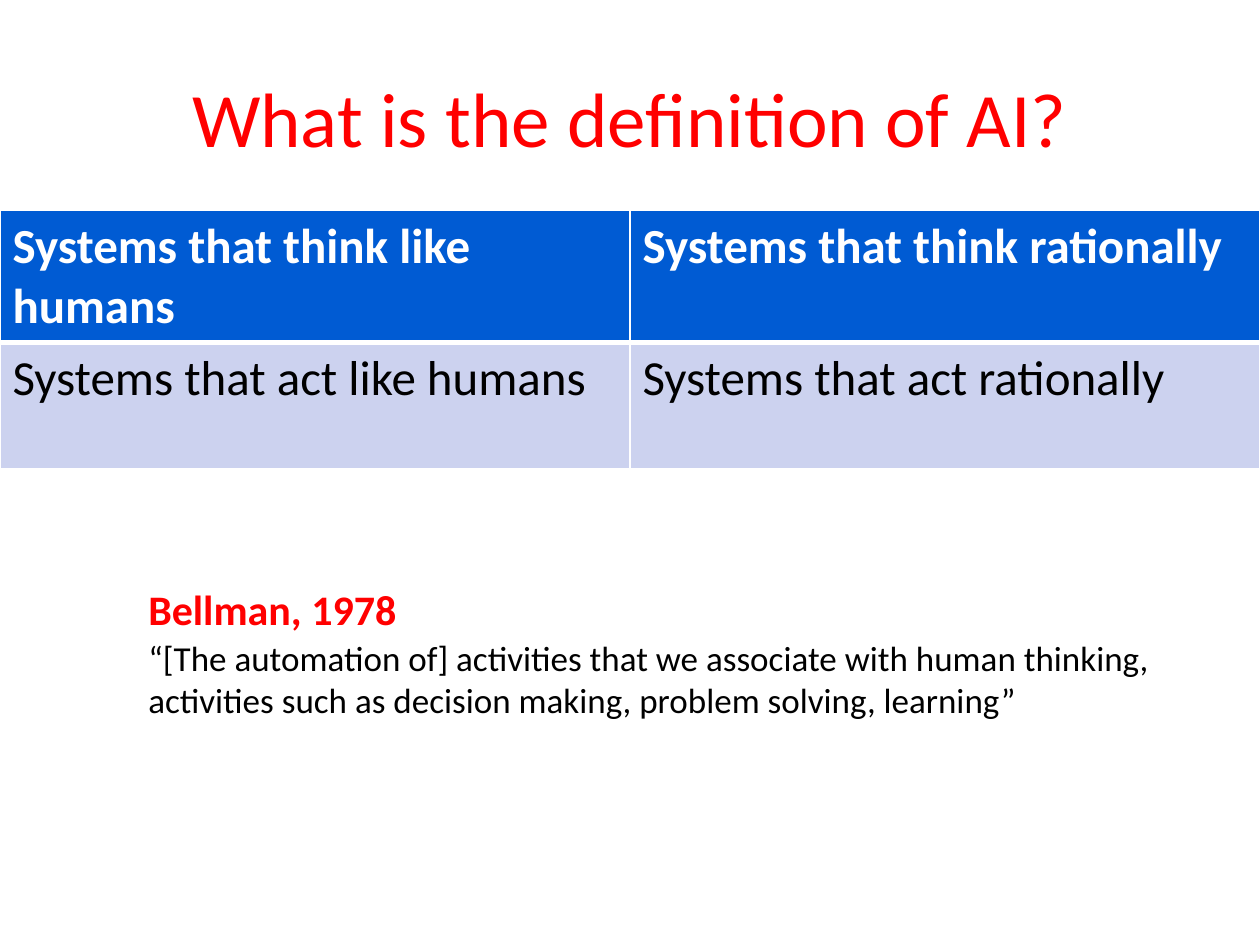
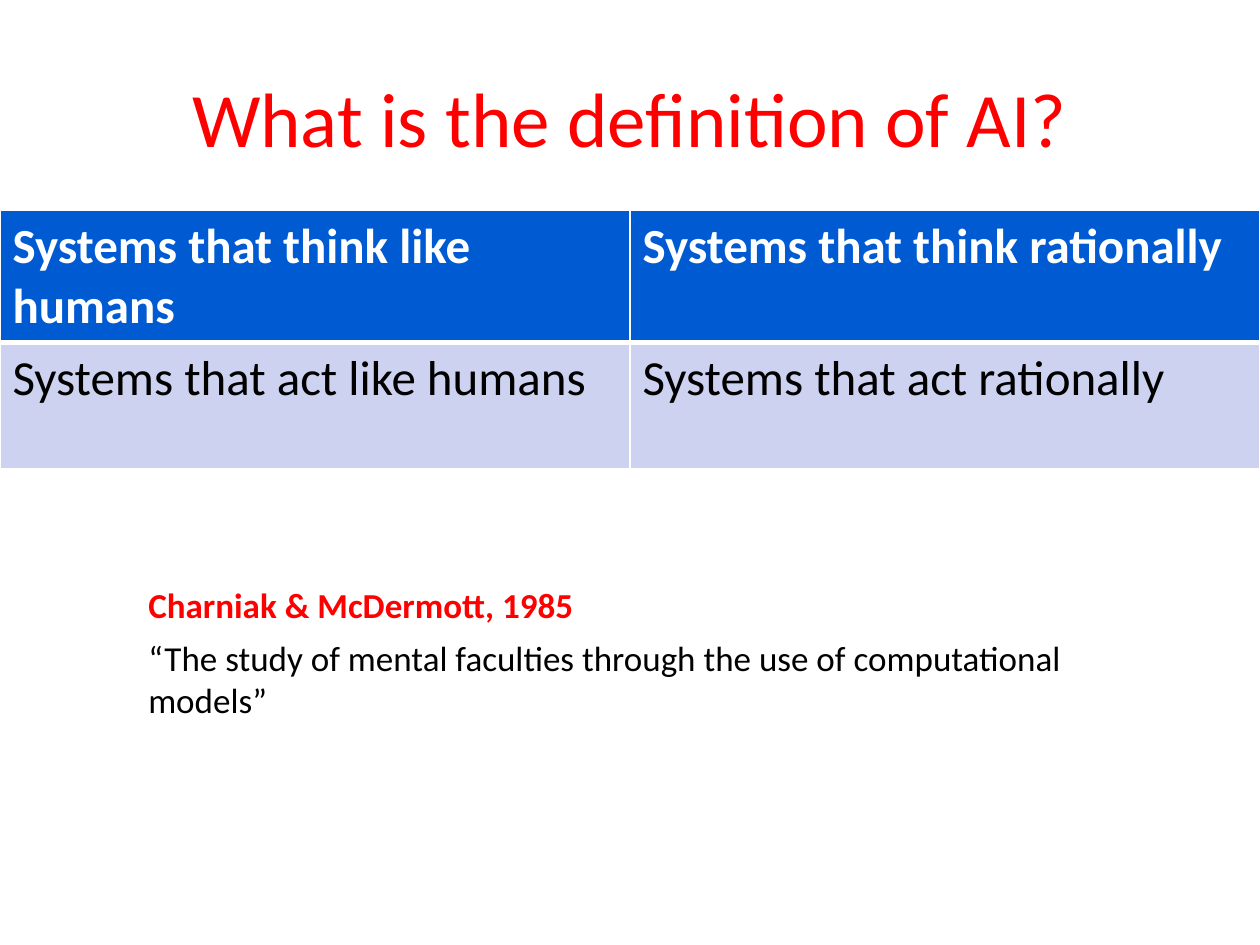
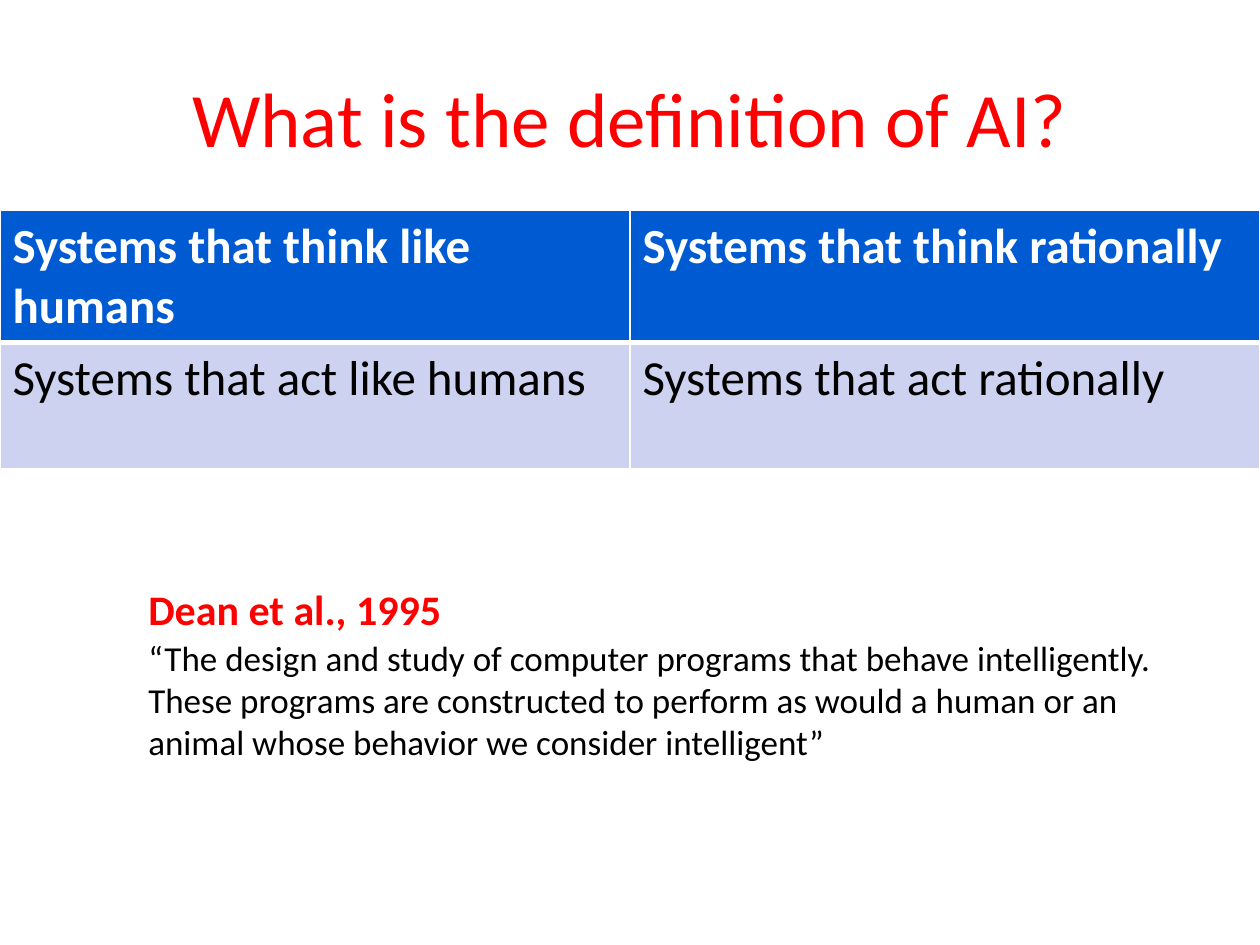
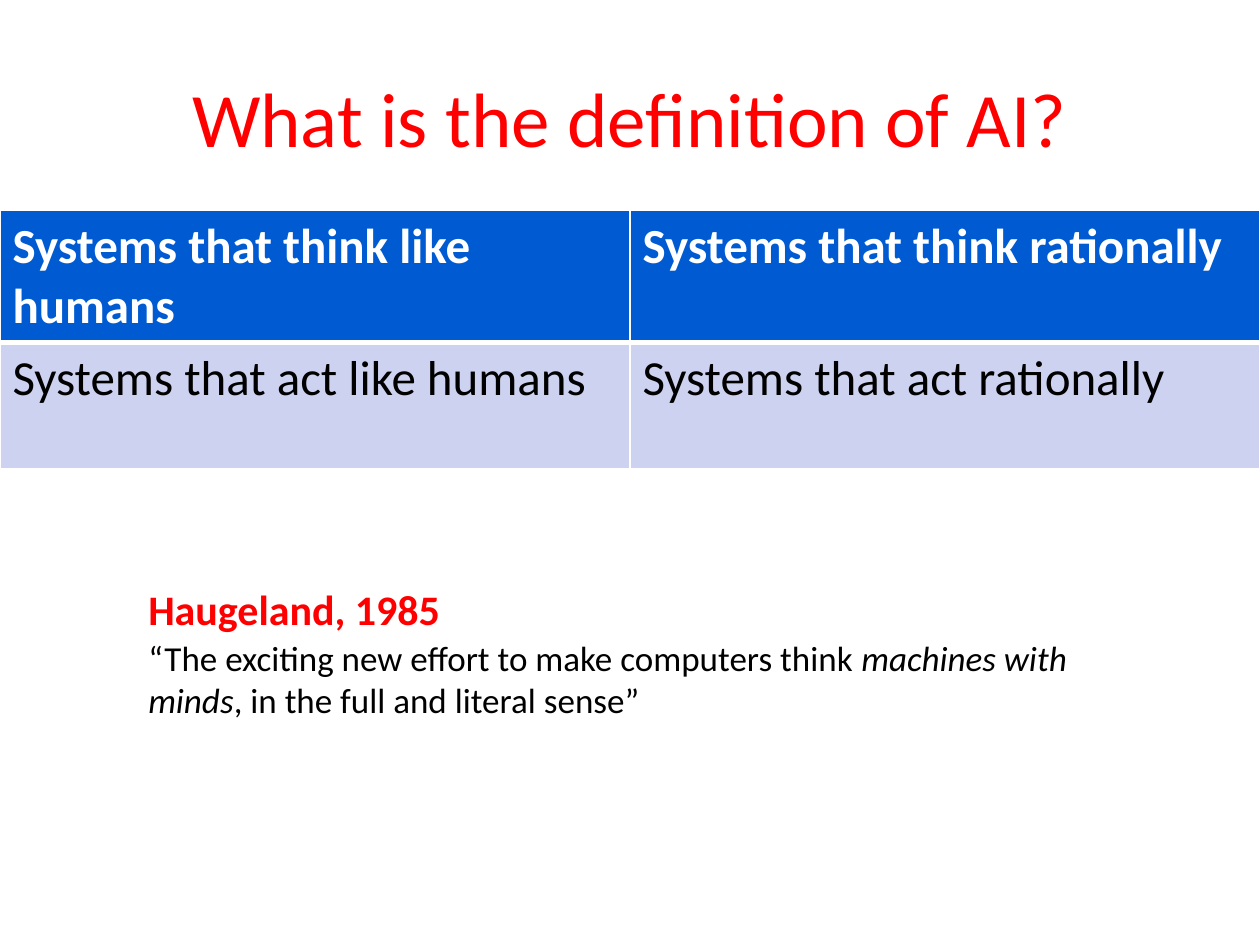
from dataclasses import dataclass

from lxml.etree import SubElement
from pptx import Presentation
from pptx.dml.color import RGBColor
from pptx.enum.text import MSO_ANCHOR, MSO_AUTO_SIZE, PP_ALIGN
from pptx.oxml.ns import qn
from pptx.util import Cm, Pt

FONT = "Calibri"
RED = "FF0000"
BLUE = "005BD3"
LAVENDER = "CCD2EF"
WHITE = "FFFFFF"
BLACK = "000000"

TITLE = "What is the definition of AI?"
APPROACHES = (
    ("Systems that think like humans", "Systems that think rationally"),
    ("Systems that act like humans", "Systems that act rationally"),
)
QUOTE_LEFT = 2.74


@dataclass(frozen=True)
class RowStyle:
    height: float
    fill: str
    color: str
    bold: bool
    borders: dict[str, int]


@dataclass(frozen=True)
class Definition:
    author: str
    author_width: float
    quote: tuple[str, ...]
    author_size: int = 24
    author_height: float = 1.27
    quote_height: float = 1.96


ROW_STYLES = (
    RowStyle(2.46, BLUE, WHITE, True, {"L": 1, "R": 1, "T": 1, "B": 3}),
    RowStyle(2.54, LAVENDER, BLACK, False, {"L": 1, "R": 1, "T": 3, "B": 1}),
)

DEFINITIONS = (
    Definition(
        "Bellman, 1978", 5.56,
        ("“[The automation of] activities that we associate with human thinking, "
         "activities such as decision making, problem solving, learning”",),
    ),
    Definition(
        "Charniak & McDermott, 1985", 9.17,
        ("“The study of mental faculties through the use of computational models”",),
        author_size=20, author_height=1.12,
    ),
    Definition(
        "Dean et al., 1995", 6.48,
        ("“The design and study of computer programs that behave intelligently. "
         "These programs are constructed to perform as would a human or an "
         "animal whose behavior we consider intelligent”",),
        quote_height=2.82,
    ),
    Definition(
        "Haugeland, 1985", 6.45,
        ("“The exciting new effort to make computers think ",
         "machines with minds",
         ", in the full and literal sense”"),
    ),
)


def rgb(value: str) -> RGBColor:
    return RGBColor.from_string(value)


def add_text(p, text: str, *, size: int, color: str = BLACK,
             bold: bool = False, italic: bool = False) -> None:
    r = p.add_run()
    r.text = text
    r.font.name = FONT
    r.font.size = Pt(size)
    r.font.bold = bold
    r.font.italic = italic
    r.font.color.rgb = rgb(color)


def add_box(s, top: float, width: float, height: float, wrap: bool):
    sp = s.shapes.add_textbox(Cm(QUOTE_LEFT), Cm(top), Cm(width), Cm(height))
    tf = sp.text_frame
    tf.word_wrap = wrap
    tf.auto_size = MSO_AUTO_SIZE.SHAPE_TO_FIT_TEXT
    return tf.paragraphs[0]


def set_borders(cell, widths: dict[str, int]) -> None:
    tc_pr = cell._tc.get_or_add_tcPr()
    for side, width in widths.items():
        ln = SubElement(tc_pr, qn(f"a:ln{side}"), w=str(Pt(width)))
        fill = SubElement(ln, qn("a:solidFill"))
        SubElement(fill, qn("a:srgbClr"), val=WHITE)


def add_title(s) -> None:
    sp = s.shapes.title
    sp.left, sp.top, sp.width, sp.height = Cm(1.27), Cm(0.76), Cm(22.86), Cm(3.18)
    tf = sp.text_frame
    tf.vertical_anchor = MSO_ANCHOR.MIDDLE
    p = tf.paragraphs[0]
    p.alignment = PP_ALIGN.CENTER
    add_text(p, TITLE, size=44, color=RED)


def add_approaches(s) -> None:
    height = sum(style.height for style in ROW_STYLES)
    table = s.shapes.add_table(len(APPROACHES), len(APPROACHES[0]),
                               Cm(0), Cm(4.24), Cm(25.4), Cm(height)).table
    for row, style, texts in zip(table.rows, ROW_STYLES, APPROACHES):
        row.height = Cm(style.height)
        for cell, text in zip(row.cells, texts):
            set_borders(cell, style.borders)
            cell.fill.solid()
            cell.fill.fore_color.rgb = rgb(style.fill)
            add_text(cell.text_frame.paragraphs[0], text, size=28,
                     color=style.color, bold=style.bold)


def add_definition(s, d: Definition) -> None:
    p = add_box(s, 11.63, d.author_width, d.author_height, wrap=False)
    add_text(p, d.author, size=d.author_size, color=RED, bold=True)
    p = add_box(s, 12.7, 20.96, d.quote_height, wrap=True)
    for i, part in enumerate(d.quote):
        add_text(p, part, size=20, italic=i % 2 == 1)


def main() -> None:
    prs = Presentation()
    prs.slide_width, prs.slide_height = Cm(25.4), Cm(19.05)
    for definition in DEFINITIONS:
        s = prs.slides.add_slide(prs.slide_layouts[5])
        add_title(s)
        add_approaches(s)
        add_definition(s, definition)
    prs.save("out.pptx")


if __name__ == "__main__":
    main()
